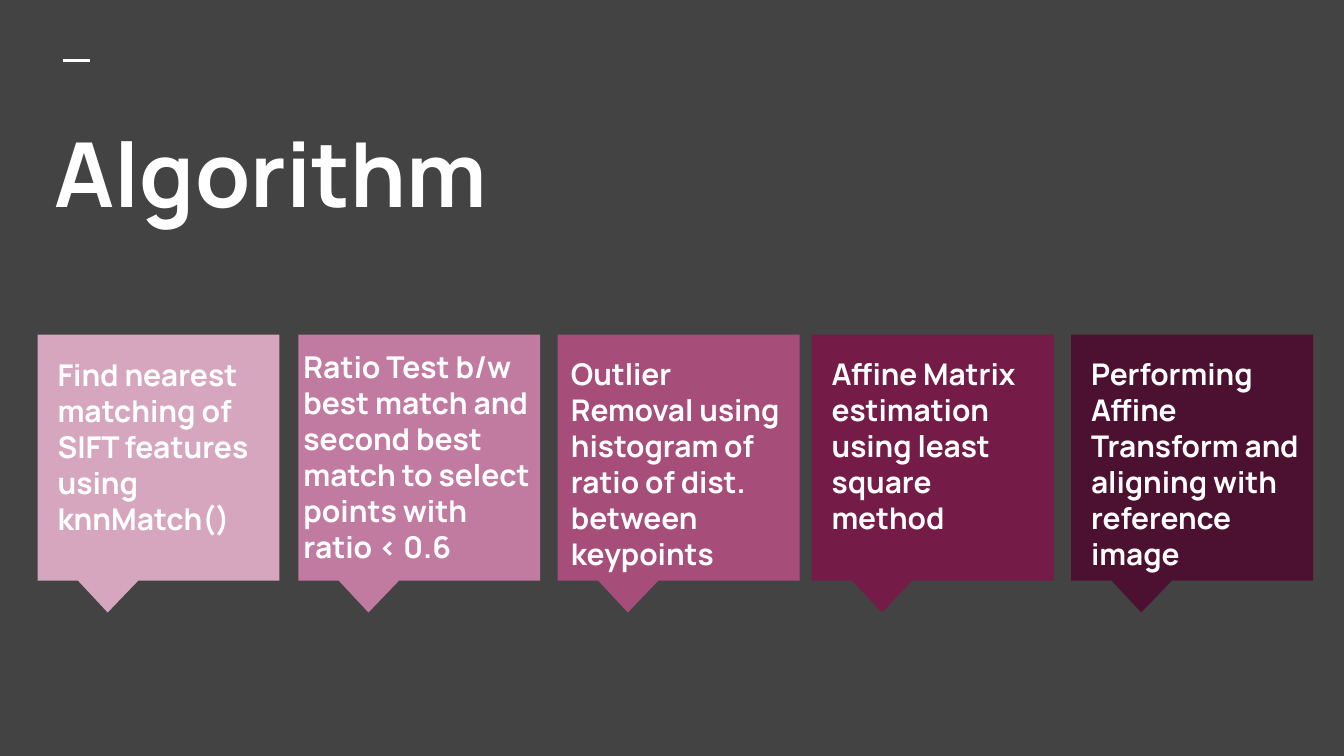
from pptx import Presentation
from pptx.dml.color import RGBColor
from pptx.enum.shapes import MSO_CONNECTOR, MSO_SHAPE
from pptx.enum.text import MSO_ANCHOR
from pptx.oxml.ns import qn
from pptx.util import Inches, Pt
from lxml import etree

CALLOUT = MSO_SHAPE.RECTANGULAR_CALLOUT
STRAIGHT = MSO_CONNECTOR.STRAIGHT
TOP = MSO_ANCHOR.TOP

# Content: text, fill, type size, text inset (x, y) and text width
TITLE = "Algorithm"
STEPS = [
    ("Find nearest matching of SIFT features using knnMatch()",
     "D5A6BD", 16.1, (0.05, 0.06), 1.69),
    ("Ratio Test b/w best match and second best match to select "
     "points with ratio < 0.6", "C27BA0", 16.1, (-0.06, 0), 1.9),
    ("Outlier Removal using histogram of ratio of dist. between keypoints",
     "A64D79", 16, (0, 0.06), 1.88),
    ("Affine Matrix estimation using least square method",
     "741B47", 16, (0.05, 0.06), 1.8),
    ("Performing Affine Transform and aligning with reference image",
     "4C1130", 16, (0.05, 0.06), 1.8),
]

THEME = {"font": "Manrope", "back": "434343", "ink": "FFFFFF",
         "title": 48, "rule": 1.5}

# Grid: a 16:9 page with five columns, the last two set slightly closer
WIDE = Inches(10)
HIGH = WIDE * 9 // 16
COLS = (0.28, 2.22, 4.15, 6.04, 7.97)
ROW, CARD_W, CARD_H, TEXT_H = 2.49, 1.8, 1.83, 1.64
TAIL = (-0.21, 0.63)


def color(code):
    return RGBColor.from_string(code)


def add_text(slide, text, left, top, width, height, size, after=0):
    frame = slide.shapes.add_textbox(
        Inches(left), Inches(top), Inches(width), Inches(height)).text_frame
    frame.word_wrap = True
    frame.vertical_anchor = TOP
    frame.margin_left = frame.margin_right = Inches(0.1)
    frame.margin_top = frame.margin_bottom = Inches(0.1)
    para = frame.paragraphs[0]
    para.space_after = Pt(after)
    run = para.add_run()
    run.text = text
    run.font.name = THEME["font"]
    run.font.size = Pt(size)
    run.font.bold = True
    run.font.color.rgb = color(THEME["ink"])


def add_card(slide, left, fill):
    card = slide.shapes.add_shape(
        CALLOUT, Inches(left), Inches(ROW), Inches(CARD_W), Inches(CARD_H))
    card.shadow.inherit = False
    card.fill.solid()
    card.fill.fore_color.rgb = color(fill)
    card.line.fill.background()
    for i, value in enumerate(TAIL):
        card.adjustments[i] = value


def add_rule(slide, left, right, top):
    rule = slide.shapes.add_connector(
        STRAIGHT, Inches(left), Inches(top), Inches(right), Inches(top))
    rule.line.color.rgb = color(THEME["ink"])
    rule.line.width = Pt(THEME["rule"])
    etree.SubElement(rule._element.spPr, qn("a:effectLst"))


def main():
    deck = Presentation()
    deck.slide_width, deck.slide_height = WIDE, HIGH
    slide = deck.slides.add_slide(deck.slide_layouts[6])
    slide.background.fill.solid()
    slide.background.fill.fore_color.rgb = color(THEME["back"])

    # Heading
    add_rule(slide, 0.47, 0.67, 0.45)
    add_text(slide, TITLE, 0.31, 0.78, 9.43, 1.12, THEME["title"])

    # Step cards
    for left, (text, fill, size, (dx, dy), width) in zip(COLS, STEPS):
        add_card(slide, left, fill)
        add_text(slide, text, left + dx, ROW + dy, width, TEXT_H, size,
                 after=12)

    deck.save("out.pptx")


if __name__ == "__main__":
    main()
